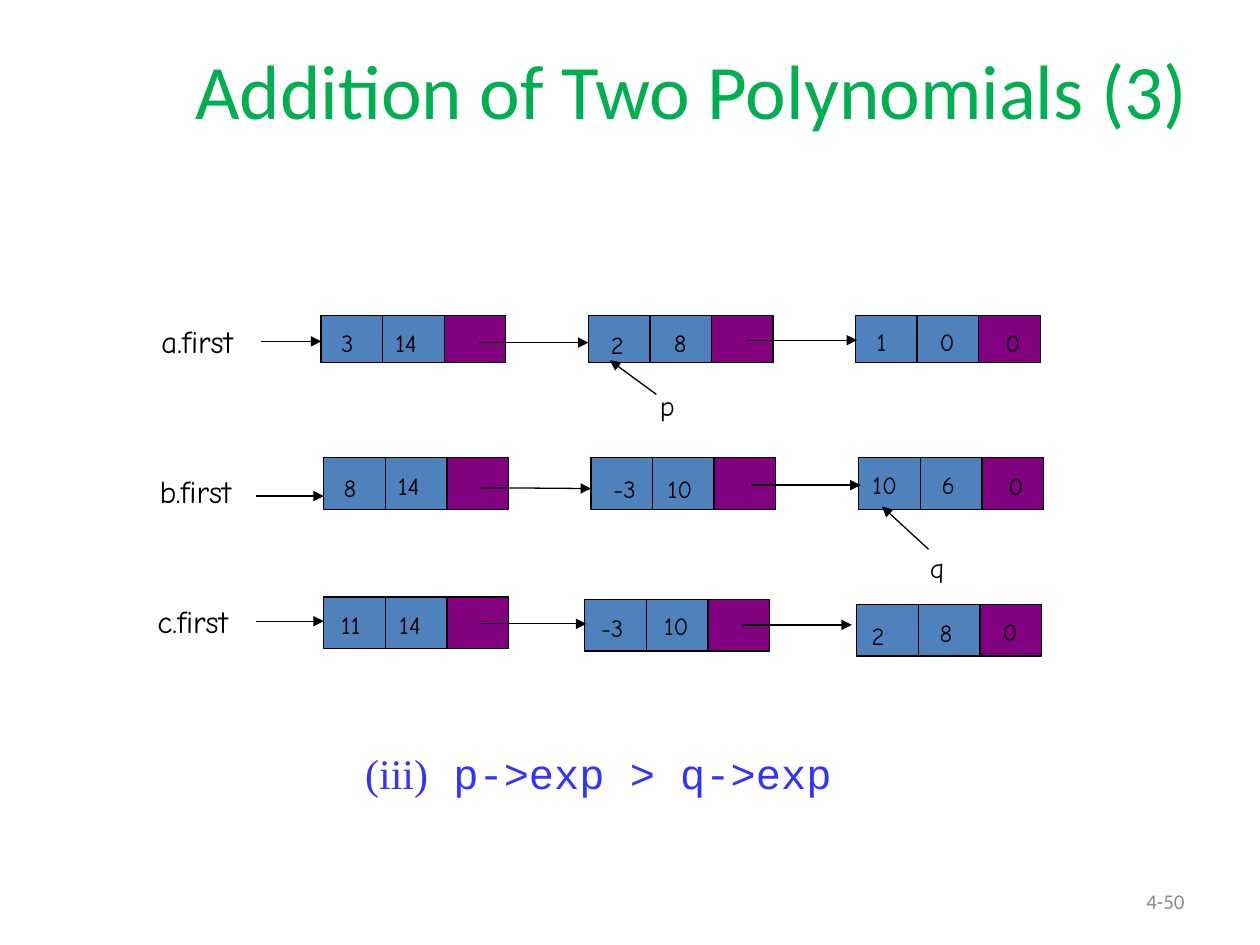
from lxml import etree
from pptx import Presentation, util as u
from pptx.dml.color import RGBColor
from pptx.enum import shapes, text
from pptx.oxml.ns import qn

HUES = {"title": "00B050", "ink": "000000", "data": "4F81BD",
        "link": "800080", "note": "3333FF", "page": "8B8B8B"}
CELL = 35.2
REACH = 62.7
HAND = "Comic Neue"

ROWS = [
    {"name": ("a.first", 85, 180.7), "head": (149, 195.1, 183.6), "tall": 26.6,
     "nodes": [(183.5, 180.5, [("3", 4.3, 3.6), ("14", 35.3, 3.6)]),
               (336.2, 180.5, [("2", 5.8, 4.3), ("8", 41.8, 3.6)]),
               (488.9, 180.5, [("1", 5, 2.9), ("0", 41, 2.9), ("0", 78.5, 3.6)])],
     "links": [(273.6, 195.8, 195.8), (427, 194.4, 194.4)]},
    {"name": ("b.first", 84.2, 266.4), "head": (146.2, 283.5, 185), "tall": 29.5,
     "nodes": [(185, 261.5, [("8", 4.3, 5), ("14", 35.3, 4.3)]),
               (337.7, 261.5, [("-3", 5.8, 5.8), ("10", 36.7, 5.8)]),
               (490.7, 261.5, [("10", 0.7, 3.6), ("6", 40.3, 3.6), ("0", 78.5, 4.3)])],
     "links": [(275, 278.7, 279.2), (429.1, 277.2, 277.2)]},
    {"name": ("c.first", 82.8, 340.6), "head": (146.2, 355, 185), "tall": 29.5,
     "nodes": [(185, 341.2, [("11", 2.9, 3.6), ("14", 36, 3.6)]),
               (334.2, 342.5, [("-3", 2.2, 4.3), ("10", 38.2, 2.9)]),
               (489.6, 345.4, [("2", 1.4, 5.8), ("8", 40.3, 4.3), ("0", 76.3, 3.6)])],
     "links": [(272.4, 356.5, 356.5), (424.1, 357.1, 357.1)]},
]


def color(name):
    return RGBColor.from_string(HUES[name])


def write(para, words, size=14, font=HAND, hue="ink"):
    run = para.add_run()
    run.text = words
    run.font.size = u.Pt(size)
    run.font.name = font
    run.font.color.rgb = color(hue)


class Board:
    def __init__(self, deck):
        self.slide = deck.slides.add_slide(deck.slide_layouts[5])
        self.items = self.slide.shapes

    def title(self, words, x, y, w, h):
        box = self.items.title
        box.left, box.top, box.width, box.height = map(u.Pt, (x, y, w, h))
        frame = box.text_frame
        frame.auto_size = text.MSO_AUTO_SIZE.NONE
        frame.vertical_anchor = text.MSO_ANCHOR.BOTTOM
        para = frame.paragraphs[0]
        para.alignment = text.PP_ALIGN.CENTER
        write(para, words, size=44, font="Calibri", hue="title")

    def label(self, x, y, w, h, words, **style):
        frame = self.items.add_textbox(*map(u.Pt, (x, y, w, h))).text_frame
        frame.word_wrap = True
        para = frame.paragraphs[0]
        write(para, words, **style)
        return frame, para

    def arrow(self, *ends):
        line = self.items.add_connector(shapes.MSO_CONNECTOR.STRAIGHT, *map(u.Pt, ends))
        line.line.color.rgb = color("ink")
        line.line.width = u.Pt(0.75)
        etree.SubElement(line.line._get_or_add_ln(), qn("a:tailEnd"), type="triangle")
        etree.SubElement(line._element.spPr, qn("a:effectLst"))

    def cell(self, x, y, h, hue):
        box = self.items.add_shape(shapes.MSO_SHAPE.RECTANGLE, *map(u.Pt, (x, y, CELL, h)))
        box.shadow.inherit = False
        box.fill.solid()
        box.fill.fore_color.rgb = color(hue)
        box.line.color.rgb = color("ink")
        box.line.width = u.Pt(0.75)

    def node(self, x, y, h, terms):
        for i, hue in enumerate(("data", "data", "link")):
            self.cell(x + i * CELL, y, h, hue)
        for term, dx, dy in terms:
            self.label(x + dx, y + dy, 20.2 if len(term) == 1 else CELL, 23.8, term)

    def chain(self, row):
        name, x, y = row["name"]
        self.label(x, y, 80.6, 28.8, name, size=18)
        for x, y, terms in row["nodes"]:
            self.node(x, y, row["tall"], terms)
        start, y, end = row["head"]
        self.arrow(start, y, end, y)
        for x, top, end in row["links"]:
            self.arrow(x, top, x + REACH, end)


def main():
    deck = Presentation()
    deck.slide_width, deck.slide_height = u.Pt(720), u.Pt(540)
    board = Board(deck)
    board.title("Addition of Two Polynomials (3)", 82.8, 17.3, 625, 63.4)
    for row in ROWS:
        board.chain(row)

    board.label(370, 218.2, 20.2, 26, "p", size=16)
    board.arrow(375.1, 225.4, 348.5, 205.9)
    board.label(524.2, 311, 20.2, 26, "q", size=16)
    board.arrow(530.6, 313.9, 504, 289.4)

    frame, para = board.label(201.6, 423.4, 345.6, 36, "(iii)", size=24,
                              font="Times New Roman", hue="note")
    write(para, " p->exp > q->exp", size=24, font="Courier New", hue="note")

    frame, para = board.label(516.2, 500.4, 167.8, 28.8, "4-50", size=12,
                              font="Calibri", hue="page")
    frame.vertical_anchor = text.MSO_ANCHOR.MIDDLE
    para.alignment = text.PP_ALIGN.RIGHT
    deck.save("out.pptx")


if __name__ == "__main__":
    main()
